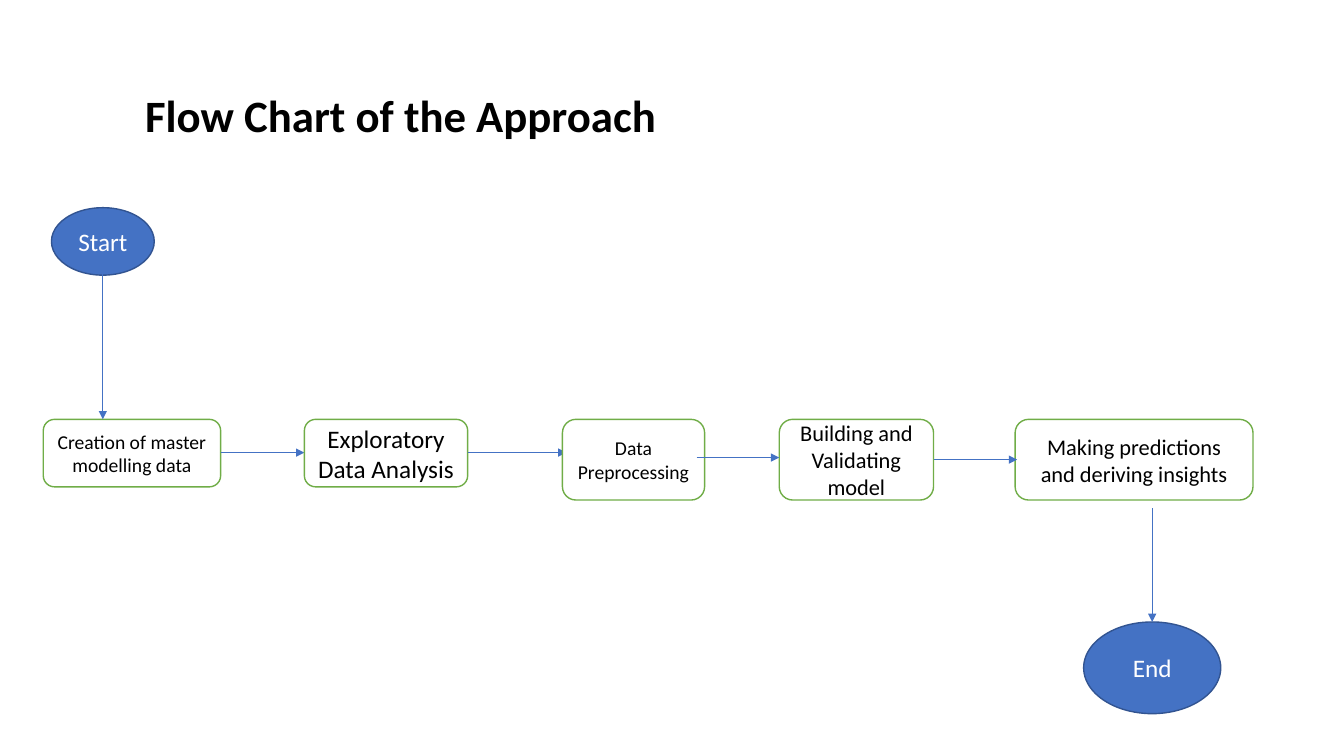
"""Build the flow chart slide of the modelling approach."""
from dataclasses import dataclass

from lxml import etree
from pptx import Presentation
from pptx.dml.color import RGBColor
from pptx.enum.shapes import MSO_CONNECTOR, MSO_SHAPE
from pptx.enum.text import MSO_ANCHOR, PP_ALIGN
from pptx.oxml.ns import qn
from pptx.slide import Slide
from pptx.text.text import TextFrame
from pptx.util import Inches, Pt

ROUNDED = MSO_SHAPE.ROUNDED_RECTANGLE
OVAL = MSO_SHAPE.OVAL
STRAIGHT = MSO_CONNECTOR.STRAIGHT
MIDDLE = MSO_ANCHOR.MIDDLE
LEFT, CENTER = PP_ALIGN.LEFT, PP_ALIGN.CENTER

BLACK = RGBColor(0x00, 0x00, 0x00)
WHITE = RGBColor(0xFF, 0xFF, 0xFF)
BLUE = RGBColor(0x44, 0x72, 0xC4)
NAVY = RGBColor(0x32, 0x54, 0x91)
GREEN = RGBColor(0x70, 0xAD, 0x47)

FONT = "Calibri"
SLIDE_W, SLIDE_H = Inches(13.33), Inches(7.5)
STEP_TOP = 55.47
LOW, TALL = 8.93, 10.67


@dataclass(frozen=True)
class Style:
    """Outline and colours of a kind of node."""
    preset: MSO_SHAPE
    fill: RGBColor
    line: RGBColor
    text: RGBColor


@dataclass(frozen=True)
class Node:
    """A labelled shape, placed in percent of the slide."""
    text: str
    style: Style
    size: int
    left: float
    top: float
    width: float
    height: float


@dataclass(frozen=True)
class Arrow:
    """An arrow between two points, in percent of the slide."""
    x1: float
    y1: float
    x2: float
    y2: float


STEP = Style(ROUNDED, WHITE, GREEN, BLACK)
TERMINAL = Style(OVAL, BLUE, NAVY, WHITE)

FLOW: list[Node | Arrow] = [
    Node("Creation of master modelling data", STEP, 14, 3.22, STEP_TOP, 13.2, LOW),
    Node("Start", TERMINAL, 18, 3.83, 27.47, 7.65, LOW),
    Arrow(7.65, 35.2, 7.65, STEP_TOP),
    Arrow(16.42, 59.87, 22.65, 59.87),
    Node("Exploratory Data Analysis", STEP, 18, 22.65, STEP_TOP, 12.15, LOW),
    Arrow(34.8, 59.87, 42.15, 59.87),
    Node("Data Preprocessing", STEP, 14, 41.85, STEP_TOP, 10.58, TALL),
    Node("Building and Validating model", STEP, 16, 57.98, STEP_TOP, 11.48, TALL),
    Arrow(51.83, 60.53, 57.98, 60.53),
    Node("Making predictions and deriving insights", STEP, 16, 75.53, STEP_TOP, 17.7, TALL),
    Arrow(69.53, 60.8, 75.68, 60.8),
    Node("End", TERMINAL, 18, 80.63, 82.27, 10.2, 12.13),
    Arrow(85.73, 67.2, 85.73, 82.27),
]


def across(share: float) -> int:
    """Return a percentage of the slide width as a length."""
    return round(SLIDE_W * share / 100)


def down(share: float) -> int:
    """Return a percentage of the slide height as a length."""
    return round(SLIDE_H * share / 100)


def write(tf: TextFrame, text: str, size: int, color: RGBColor,
          align: PP_ALIGN = CENTER, bold: bool = False) -> None:
    """Write one wrapped, vertically centred paragraph."""
    tf.word_wrap = True
    tf.vertical_anchor = MIDDLE
    p = tf.paragraphs[0]
    p.alignment = align
    r = p.add_run()
    r.text = text
    r.font.name = FONT
    r.font.size = Pt(size)
    r.font.bold = bold
    r.font.color.rgb = color


def add_title(s: Slide, text: str) -> None:
    """Add the slide heading."""
    tf = s.shapes.add_textbox(across(9.3), down(9.33), across(76.43), down(12.53)).text_frame
    tf.margin_left = Inches(0.2)
    write(tf, text, 32, BLACK, LEFT, True)
    tf.paragraphs[0].line_spacing = 0.9


def add_node(s: Slide, node: Node) -> None:
    """Add a step or a terminal of the flow."""
    style = node.style
    sp = s.shapes.add_shape(style.preset, across(node.left), down(node.top),
                            across(node.width), down(node.height))
    sp.shadow.inherit = False
    sp.fill.solid()
    sp.fill.fore_color.rgb = style.fill
    sp.line.color.rgb = style.line
    sp.line.width = Pt(1)
    write(sp.text_frame, node.text, node.size, style.text)


def add_arrow(s: Slide, arrow: Arrow) -> None:
    """Add a thin line with a triangle at its end."""
    sp = s.shapes.add_connector(STRAIGHT, across(arrow.x1), down(arrow.y1),
                                across(arrow.x2), down(arrow.y2))
    sp.line.color.rgb = BLUE
    sp.line.width = Pt(0.5)
    etree.SubElement(sp.line._get_or_add_ln(), qn("a:tailEnd"), type="triangle")
    etree.SubElement(sp._element.spPr, qn("a:effectLst"))


def main() -> None:
    """Create and save the presentation."""
    prs = Presentation()
    prs.slide_width, prs.slide_height = SLIDE_W, SLIDE_H
    s = prs.slides.add_slide(prs.slide_layouts[6])
    add_title(s, "Flow Chart of the Approach")
    for item in FLOW:
        if isinstance(item, Node):
            add_node(s, item)
        else:
            add_arrow(s, item)
    prs.save("out.pptx")


if __name__ == "__main__":
    main()
